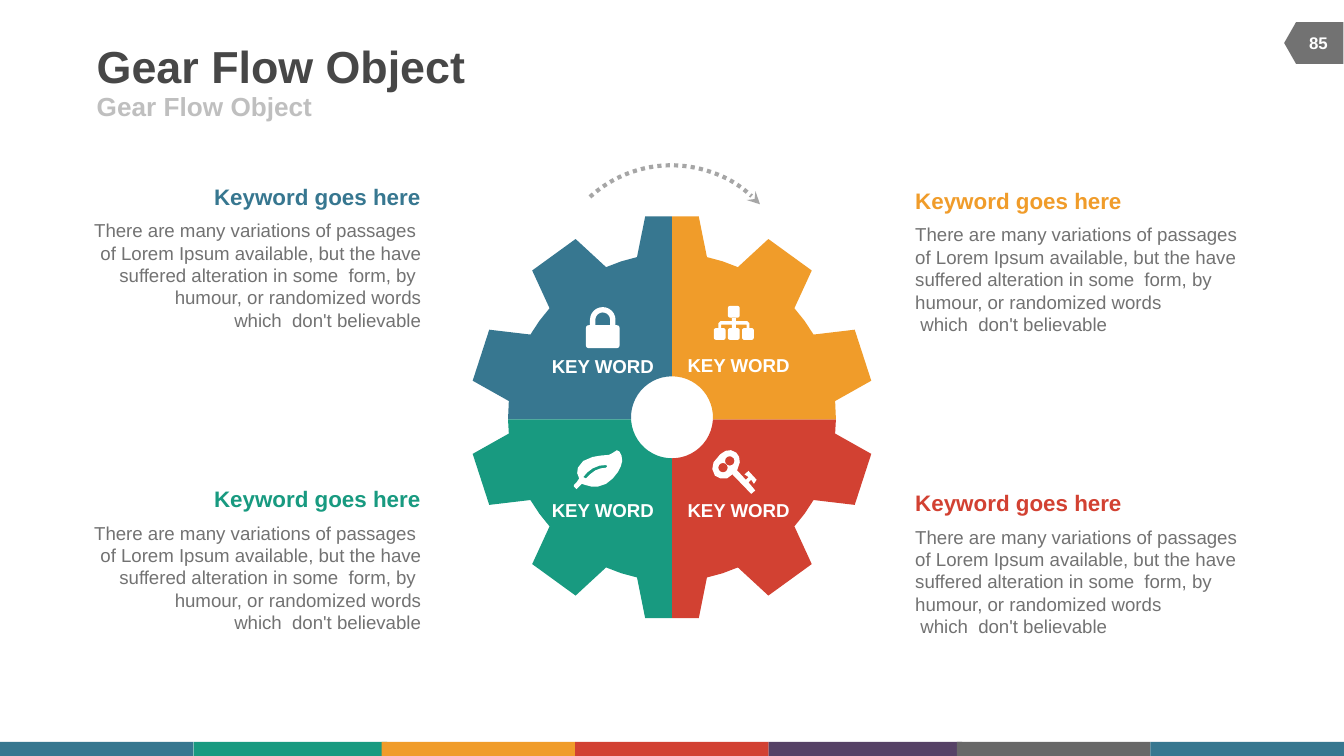
"""Build the gear flow slide: four gear quarters, icons, labels and captions."""
from math import cos, radians, sin
from pptx import Presentation, util as u
from pptx.dml.color import RGBColor
from pptx.enum import dml, shapes, text
from pptx.oxml import parse_xml
from pptx.oxml.ns import nsdecls, qn

BLUE, GREEN, GOLD, RED = "377790", "189A80", "F09C2A", "D24132"
WHITE, GREY = "FFFFFF", "727272"
LEFT, MID, RIGHT = text.PP_ALIGN.LEFT, text.PP_ALIGN.CENTER, text.PP_ALIGN.RIGHT
TOP, HALF = text.MSO_ANCHOR.TOP, text.MSO_ANCHOR.MIDDLE
KIND = shapes.MSO_SHAPE


def paint(fill, tone):
    fill.solid()
    fill.fore_color.rgb = RGBColor.from_string(tone)


def ring(x, y, r, start, end, count=12):
    turns = [radians(start + (end - start) * i / count) for i in range(count + 1)]
    return [(x + r * sin(t), y - r * cos(t)) for t in turns]


deck = Presentation()
deck.slide_width = u.Inches(10)
deck.slide_height = deck.slide_width * 9 // 16
cell = deck.slide_width / 100
slide = deck.slides.add_slide(deck.slide_layouts[6])
pool = slide.shapes

strip = zip([0, 14.4, 28.4, 42.8, 57.2, 71.2, 85.6],
            [BLUE, GREEN, GOLD, RED, "564266", "686868", BLUE])
blocks = [(KIND.RECTANGLE, x, 55.2, 14.4, 1.05, 0, tone) for x, tone in strip]
blocks += [(KIND.FLOWCHART_OFFPAGE_CONNECTOR, 96.2, 1, 3.1, 4.4, 90, GREY),
           (KIND.ARC, 41, 12.3, 17.9, 17.9, 317.5, None)]
for kind, x, y, w, h, turn, tone in blocks:
    shape = pool.add_shape(kind, *[round(v * cell) for v in (x, y, w, h)])
    shape.shadow.inherit = False
    shape.rotation = turn
    if tone:
        paint(shape.fill, tone)
        shape.line.fill.background()
    else:
        shape.fill.background()
        paint(shape.line.fill, "A6A6A6")
        shape.line.width = u.Pt(2.25)
        shape.line.dash_style = dml.MSO_LINE.ROUND_DOT
        tip = parse_xml(f'<a:tailEnd {nsdecls("a")} type="stealth"/>')
        shape.element.spPr.find(qn("a:ln")).append(tip)

cx, cy, split, hub, root, crown = 50, 31.05, 31.2, 3.05, 12.2, 15.08
rim = [(0, crown * cos(radians(7.6)))]
for tooth in (0, 36, 72):
    rim += [(tooth + 7.6, crown), (tooth + 12.3, root)]
    if tooth < 72:
        rim += [(tooth + 18, root), (tooth + 23.7, root), (tooth + 28.4, crown)]
edge = [ring(cx, cy, r, a, a, 1)[0] for a, r in rim]
edge += [(cx + root, split), (cx + hub, split)] + ring(cx, cy, hub, 85, 0)
drawn = []
for tone, sx, sy in [(BLUE, -1, 1), (GREEN, -1, -1), (RED, 1, -1), (GOLD, 1, 1)]:
    turned = [(cx + sx * (x - cx), split if y == split else cy + sy * (y - cy))
              for x, y in edge]
    drawn.append((tone, [turned]))

lock = [ring(43.8, 25.7, .2, 180, 270, 4) + ring(43.8, 24.4, .2, 270, 360, 4)
        + [(43.9, 24.2)] + ring(44.85, 23.8, .95, 270, 450) + [(45.8, 24.2)]
        + ring(45.9, 24.4, .2, 0, 90, 4) + ring(45.9, 25.7, .2, 90, 180, 4),
        [(44.3, 24.2)] + ring(44.85, 23.8, .55, 270, 450) + [(45.4, 24.2)]]
leaf = [[(46.2, 34.7), (46, 35.1), (45.6, 35.6), (45.1, 36), (44.5, 36.2), (44, 36.2),
         (43.6, 36.1), (43.3, 36), (43.1, 36.2), (42.9, 36.4), (42.7, 36.2), (42.7, 36.1),
         (42.9, 35.9), (43.1, 35.6), (42.95, 35.2), (43, 34.8), (43.4, 34.3), (44.1, 34),
         (44.7, 33.9), (45.3, 33.85), (45.6, 33.7), (45.9, 33.5), (46.1, 33.6),
         (46.25, 33.9), (46.3, 34.3)],
        [(45.1, 34.6), (44.6, 34.65), (44.1, 34.85), (43.7, 35.15), (43.4, 35.5),
         (43.6, 35.6), (43.9, 35.3), (44.3, 35), (44.7, 34.85), (45.1, 34.8), (45.2, 34.7)]]
tree = [[(54.45, 23.6), (54.75, 23.6), (54.75, 23.9), (55.6, 23.9), (55.75, 24.05),
         (55.75, 24.4), (55.55, 24.4), (55.55, 24.15), (54.75, 24.15), (54.75, 24.4),
         (54.45, 24.4), (54.45, 24.15), (53.65, 24.15), (53.65, 24.4), (53.45, 24.4),
         (53.45, 24.05), (53.6, 23.9), (54.45, 23.9)]]
for x, y in [(54.6, 23.2), (53.55, 24.85), (54.6, 24.85), (55.65, 24.85)]:
    tree.append([p for i, (dx, dy) in enumerate([(1, -1), (1, 1), (-1, 1), (-1, -1)])
                 for p in ring(x + dx * .27, y + dy * .27, .17, 90 * i, 90 * i + 90, 3)])
key = [[(53, 34.9), (53.1, 34.4), (53.6, 33.8), (54, 33.55), (54.4, 33.5), (54.8, 33.7),
        (55, 34), (55.05, 34.4), (54.85, 35), (55.5, 35.7), (55.7, 35.5), (55.4, 35.3),
        (55.7, 35.05), (56.3, 35.7), (56.1, 36), (55.9, 35.7), (55.7, 35.9), (56.2, 36.5),
        (55.9, 36.75), (54.5, 35.3), (54.1, 35.6), (53.6, 35.6), (53.2, 35.4)],
       ring(54.3, 34.3, .35, 0, 360), ring(53.8, 34.8, .35, 0, 360)]
drawn += [(WHITE, icon) for icon in (lock, leaf, tree, key)]
for tone, rings in drawn:
    rings = [[(x * cell, y * cell) for x, y in points] for points in rings]
    pen = pool.build_freeform(*rings[0][0], scale=1)
    pen.add_line_segments(rings[0][1:])
    for points in rings[1:]:
        pen.move_to(*points[0])
        pen.add_line_segments(points[1:])
    shape = pen.convert_to_shape()
    shape.shadow.inherit = False
    paint(shape.fill, tone)
    shape.line.fill.background()

name = "Gear Flow Object"
words = [(name, 7.2, 2.9, 61.7, 3.9, 24, "474747", LEFT, HALF),
         (name, 7.2, 6.8, 45, 2.2, 14, "BFBFBF", LEFT, HALF),
         ("85", 96, 1.7, 4.2, 3, 9, WHITE, MID, HALF)]
words += [("KEY WORD", x, y, 7.7, 1.7, 10, WHITE, MID, HALF)
          for x, y in [(41, 26.4), (41, 37.1), (51.1, 37.1), (51.1, 26.3)]]
for side, x, head, y, pad, tones in [(RIGHT, 6.4, 15.8, 13.6, " ", (BLUE, GREEN)),
                                     (LEFT, 68.1, 68.1, 13.9, "", (GOLD, RED))]:
    prose = (f"There are many variations of passages{pad}\n"
             "of Lorem Ipsum available, but the have suffered alteration in some  form, by \v"
             "humour, or randomized words\v which  don't believable")
    for row, tone in enumerate(tones):
        top = y + 22.5 * row
        words += [(prose, x, top + 2.7, 24.9, 8.4, 10, GREY, side, TOP),
                  ("Keyword goes here", head, top, 15.5, 2, 12, tone, side, TOP)]
for label, x, y, w, h, size, tone, side, anchor in words:
    frame = pool.add_textbox(*[round(v * cell) for v in (x, y, w, h)]).text_frame
    frame.margin_left = frame.margin_right = frame.margin_top = frame.margin_bottom = 0
    frame.word_wrap = w > 20
    frame.vertical_anchor = anchor
    frame.text = label
    for para in frame.paragraphs:
        para.alignment = side
        for run in para.runs:
            run.font.name, run.font.size = "Arial", u.Pt(size)
            run.font.bold = tone != GREY
            paint(run.font.fill, tone)

deck.save("out.pptx")
